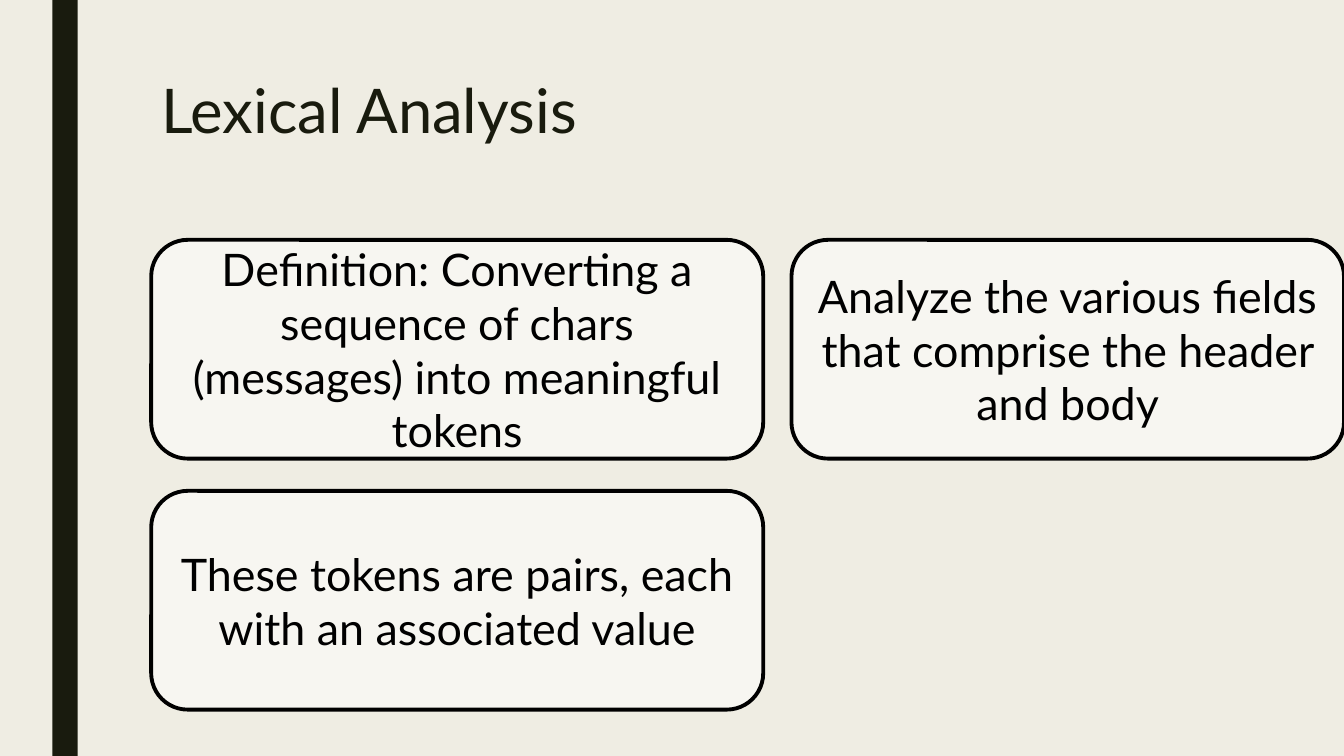
from pptx import Presentation
from pptx.dml.color import RGBColor
from pptx.enum.shapes import MSO_SHAPE
from pptx.enum.text import MSO_ANCHOR, PP_ALIGN
from pptx.oxml.ns import qn
from pptx.util import Inches, Pt
from lxml.etree import SubElement

# Content
TITLE = "Lexical Analysis"
CARDS = [  # column, row, text
    (0, 0, "Definition: Converting a sequence of chars (messages) into meaningful tokens"),
    (0, 1, "These tokens are pairs, each with an associated value"),
    (1, 0, "Analyze the various fields that comprise the header and body"),
]

# Theme
THEME = {
    "font": "Lato", "title": 44, "body": 32, "line": 2.75,
    "back": "EFEDE3", "dark": "191B0E", "card": "FFFFFF", "ink": "000000",
    "alpha": 50,
}

# Layout, in inches
WIDE, HIGH = 13.33, 7.5
LEFT, TOP, GAP = 1.5, 2.38, 0.28
CARD_H, PITCH = 2.17, 2.49
FIRST_W = 6.07
NEXT = LEFT + FIRST_W + GAP
COLS = [(LEFT, FIRST_W), (NEXT, WIDE - NEXT)]


def color(name):
    return RGBColor.from_string(THEME[name])


def add_box(slide, kind, box, fill):
    shape = slide.shapes.add_shape(kind, *map(Inches, box))
    shape.shadow.inherit = False
    shape.fill.solid()
    shape.fill.fore_color.rgb = color(fill)
    shape.line.fill.background()
    return shape


def set_text(frame, text, size, ink, align):
    frame.word_wrap = True
    para = frame.paragraphs[0]
    para.text = text
    para.alignment = align
    para.font.name = THEME["font"]
    para.font.size = Pt(THEME[size])
    para.font.color.rgb = color(ink)
    return para


def add_card(slide, col, row, text):
    left, width = COLS[col]
    box = left, TOP + row * PITCH, width, CARD_H
    card = add_box(slide, MSO_SHAPE.ROUNDED_RECTANGLE, box, "card")
    tint = card.fill._xPr.find(qn("a:solidFill"))[0]
    SubElement(tint, qn("a:alpha")).set("val", str(THEME["alpha"] * 1000))
    card.line.color.rgb = color("ink")
    card.line.width = Pt(THEME["line"])
    card.text_frame.vertical_anchor = MSO_ANCHOR.MIDDLE
    set_text(card.text_frame, text, "body", "ink", PP_ALIGN.CENTER)


def main():
    deck = Presentation()
    deck.slide_width, deck.slide_height = Inches(WIDE), Inches(HIGH)
    slide = deck.slides.add_slide(deck.slide_layouts[6])
    slide.background.fill.solid()
    slide.background.fill.fore_color.rgb = color("back")

    # Side bar
    add_box(slide, MSO_SHAPE.RECTANGLE, (0.52, 0, 0.25, HIGH), "dark")

    # Title
    box = slide.shapes.add_textbox(*map(Inches, (LEFT, 0.75, 10.5, 1.62)))
    para = set_text(box.text_frame, TITLE, "title", "dark", PP_ALIGN.LEFT)
    para.line_spacing = 0.89

    # Cards
    for col, row, text in CARDS:
        add_card(slide, col, row, text)

    deck.save("out.pptx")


if __name__ == "__main__":
    main()
